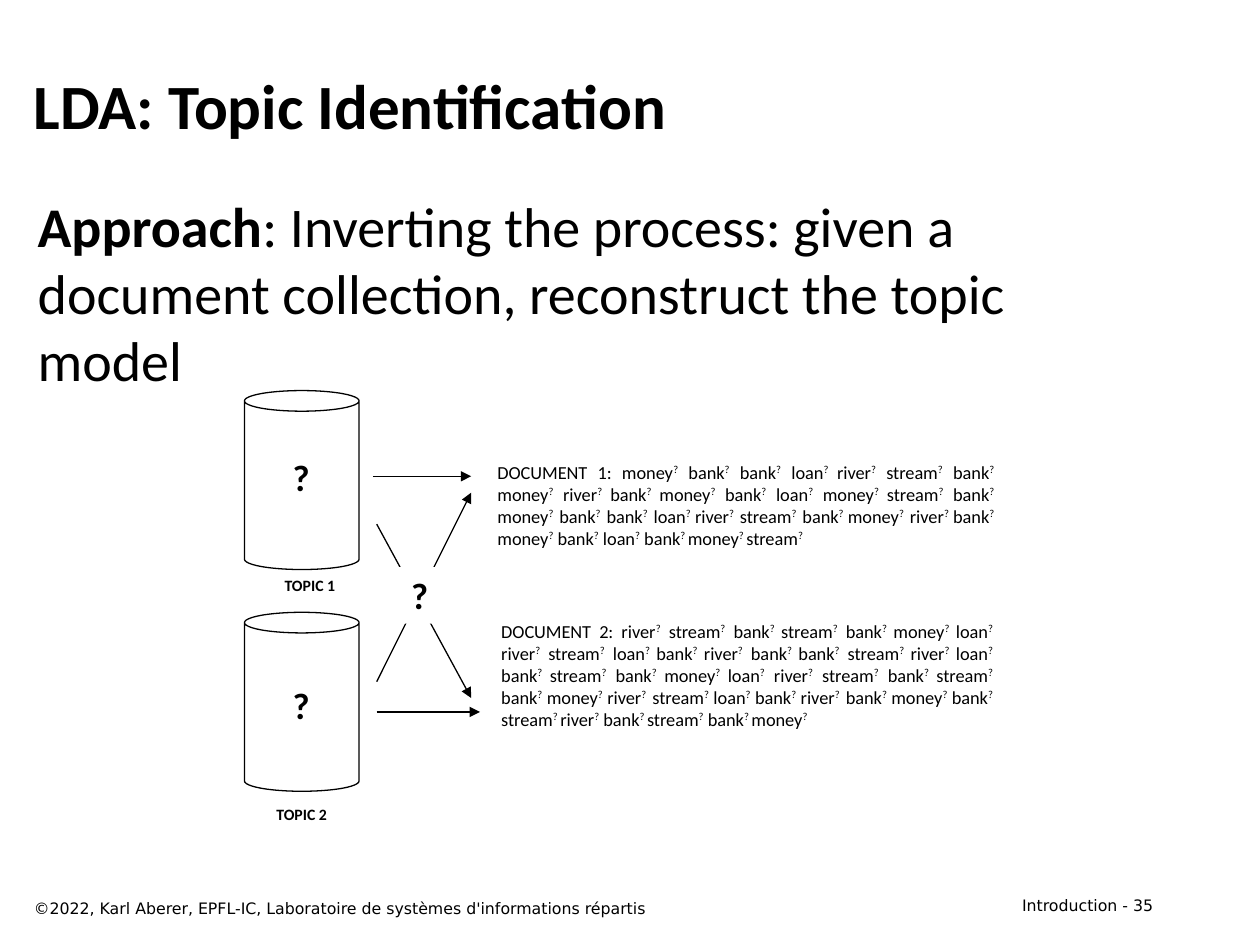
from dataclasses import dataclass

from lxml import etree
from pptx import Presentation
from pptx.dml.color import RGBColor
from pptx.enum.shapes import MSO_CONNECTOR, MSO_SHAPE
from pptx.enum.text import MSO_ANCHOR, PP_ALIGN
from pptx.oxml.ns import qn
from pptx.util import Inches, Pt

STRAIGHT = MSO_CONNECTOR.STRAIGHT
CAN, RECTANGLE = MSO_SHAPE.CAN, MSO_SHAPE.RECTANGLE
TOP, MIDDLE = MSO_ANCHOR.TOP, MSO_ANCHOR.MIDDLE
LEFT, CENTER, RIGHT, JUSTIFY = PP_ALIGN.LEFT, PP_ALIGN.CENTER, PP_ALIGN.RIGHT, PP_ALIGN.JUSTIFY


@dataclass(frozen=True)
class Theme:
    ink: RGBColor = RGBColor(0, 0, 0)
    paper: RGBColor = RGBColor(255, 255, 255)
    font: str = "Calibri"
    footer_font: str = "DejaVu Sans"
    title: float = 36
    body: float = 32
    unknown: float = 21
    document: float = 10.5
    label: float = 9
    line: float = 0.75


THEME = Theme()

TITLE = "LDA: Topic Identification"
APPROACH = ("Approach", ": Inverting the process: given a document collection, reconstruct the topic model")
COPYRIGHT = "©2022, Karl Aberer, EPFL-IC, Laboratoire de systèmes d'informations répartis"
PAGE = "Introduction - 35"
UNKNOWN = "?"

# Text between bars alternates between normal and superscript.
DOCUMENTS = [
    ((3.88, 4.87, 4.1, 1.25),
     "DOCUMENT 2: river|?| stream|?| bank|? |stream|?| bank|? |money|? |loan|? |"
     "river|?| stream|?| loan|? |bank|? |river|?| bank|? |bank|?| stream|? |river|? |loan|? |"
     "bank|? |stream|?| bank|? |money|? |loan|?| river|?| stream|?| bank|? |stream|?| "
     "bank|? |money|? |river|?| stream|? |loan|? |bank|? |river|?| bank|? |money|? |bank|?| "
     "stream|? |river|?| bank|? |stream|?| bank|? |money|?"),
    ((3.85, 3.61, 4.14, 0.98),
     "DOCUMENT 1: money|?| bank|?| bank|?| loan|? |river|?| stream|?| bank|? |"
     "money|?| river|? |bank|? |money|?| bank|?| loan|?| money|? |stream|?| bank|? |"
     "money|?| bank|?| bank|?| loan|? |river|?| stream|?| bank|? |money|?| river|? |bank|? |"
     "money|?| bank|?| loan|?| bank|? |money|? |stream|?"),
]

CAN_LEFT, CAN_WIDTH, CAN_HEIGHT = 1.94, 0.91, 1.42
TOPICS = [
    {"top": 3.1, "unknown_top": 3.56, "label": "TOPIC 1", "label_box": (2.11, 4.52, 0.7, 0.25)},
    {"top": 4.86, "unknown_top": 5.37, "label": "TOPIC 2", "label_box": (2.06, 6.34, 0.67, 0.25)},
]
ARROWS = [
    ((2.96, 3.78), (3.74, 3.78)),
    ((2.99, 5.65), (3.81, 5.65)),
    ((2.99, 5.41), (3.74, 3.91)),
    ((2.99, 4.16), (3.74, 5.54)),
]


def inches(values):
    """Convert a sequence of numbers to lengths."""
    return [Inches(value) for value in values]


def write(shape, size, runs, align=LEFT, bold=False, font=THEME.font, anchor=TOP, wrap=True):
    """Fill a shape with one paragraph and return its runs."""
    frame = shape.text_frame
    frame.word_wrap = wrap
    frame.vertical_anchor = anchor
    paragraph = frame.paragraphs[0]
    paragraph.alignment = align
    paragraph.font.name = font
    paragraph.font.size = Pt(size)
    paragraph.font.bold = bold
    paragraph.font.color.rgb = THEME.ink
    for text in runs:
        paragraph.add_run().text = text
    return paragraph.runs


def add_text(slide, box, size, *runs, **style):
    """Add a text box and return its runs."""
    return write(slide.shapes.add_textbox(*inches(box)), size, runs, **style)


def add_document(slide, box, text):
    """Add a justified document with superscript topic marks."""
    runs = add_text(slide, box, THEME.document, *text.split("|"), align=JUSTIFY)
    for run in runs[1::2]:
        run.font._element.set("baseline", "30000")


def add_topic(slide, topic):
    """Add a topic cylinder with its unknown mark and label."""
    can = slide.shapes.add_shape(CAN, *inches((CAN_LEFT, topic["top"], CAN_WIDTH, CAN_HEIGHT)))
    can.shadow.inherit = False
    can.adjustments[0] = 0.18
    can.fill.background()
    can.line.color.rgb = THEME.ink
    can.line.width = Pt(THEME.line)
    add_text(slide, (2.22, topic["unknown_top"], 0.34, 0.45), THEME.unknown, UNKNOWN,
             align=CENTER, bold=True, wrap=False)
    add_text(slide, topic["label_box"], THEME.label, topic["label"], align=CENTER, bold=True)


def add_arrow(slide, start, end):
    """Add a straight arrow between two points."""
    arrow = slide.shapes.add_connector(STRAIGHT, *inches(start + end))
    arrow.line.color.rgb = THEME.ink
    arrow.line.width = Pt(THEME.line)
    etree.SubElement(arrow.line._get_or_add_ln(), qn("a:tailEnd"), type="triangle")
    etree.SubElement(arrow._element.spPr, qn("a:effectLst"))


def add_mixture(slide):
    """Add the unknown mark that covers the crossing of the arrows."""
    patch = slide.shapes.add_shape(RECTANGLE, *inches((3.16, 4.5, 0.34, 0.45)))
    patch.shadow.inherit = False
    patch.fill.solid()
    patch.fill.fore_color.rgb = THEME.paper
    patch.line.fill.background()
    write(patch, THEME.unknown, [UNKNOWN], align=CENTER, bold=True, wrap=False)


def main():
    """Build the topic identification slide."""
    presentation = Presentation()
    presentation.slide_width, presentation.slide_height = inches((10, 7.5))
    slide = presentation.slides.add_slide(presentation.slide_layouts[6])
    add_text(slide, (7.17, 7.06, 2.08, 0.25), THEME.label, PAGE, align=RIGHT, font=THEME.footer_font)
    add_text(slide, (0.17, 0.33, 9.08, 1), THEME.title, TITLE, bold=True, anchor=MIDDLE)
    approach = add_text(slide, (0.2, 1.47, 9.08, 5.5), THEME.body, *APPROACH)
    approach[0].font.bold = True
    for box, text in DOCUMENTS:
        add_document(slide, box, text)
    for topic in TOPICS:
        add_topic(slide, topic)
    for start, end in ARROWS:
        add_arrow(slide, start, end)
    add_mixture(slide)
    add_text(slide, (0.17, 7.08, 6.42, 0.25), THEME.label, COPYRIGHT, font=THEME.footer_font)
    presentation.save("out.pptx")


if __name__ == "__main__":
    main()
